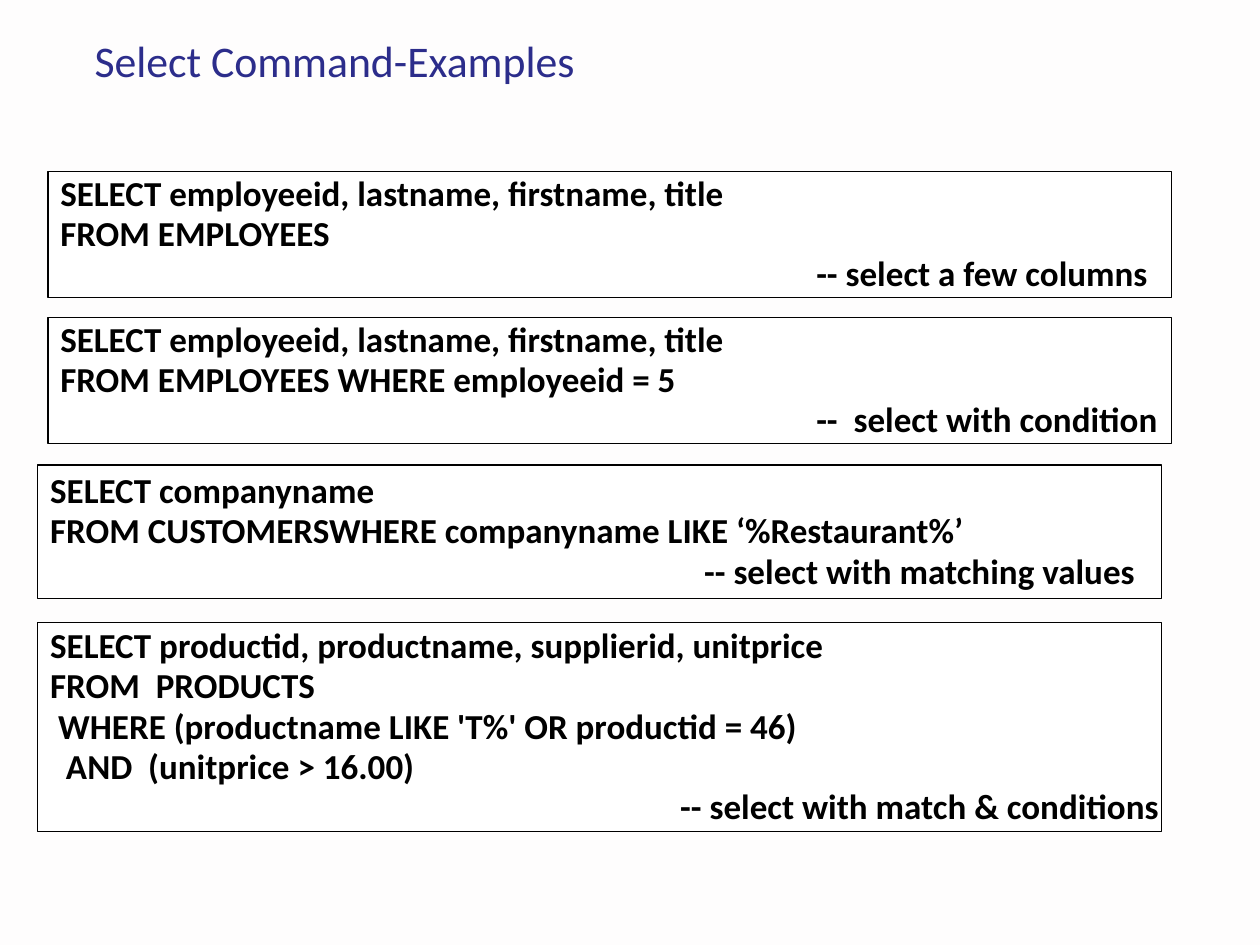
from dataclasses import dataclass

from pptx import Presentation
from pptx.dml.color import RGBColor
from pptx.enum.shapes import MSO_SHAPE
from pptx.enum.text import MSO_ANCHOR, PP_ALIGN
from pptx.util import Inches, Pt

RECTANGLE = MSO_SHAPE.RECTANGLE
MIDDLE = MSO_ANCHOR.MIDDLE
LEFT = PP_ALIGN.LEFT


@dataclass(frozen=True)
class Theme:
    font: str = "Calibri"
    title_size: int = 25
    code_size: int = 20
    background: RGBColor = RGBColor(0xFE, 0xFD, 0xFD)
    title: RGBColor = RGBColor(0x2C, 0x2D, 0x8B)
    ink: RGBColor = RGBColor(0, 0, 0)
    box: RGBColor = RGBColor(0xFF, 0xFF, 0xFF)


theme = Theme()


def style_paragraph(paragraph, size, color, bold=False):
    paragraph.alignment = LEFT
    for run in paragraph.runs:
        run.font.name = theme.font
        run.font.size = Pt(size)
        run.font.bold = bold
        run.font.color.rgb = color


presentation = Presentation()
presentation.slide_width = Inches(10)
presentation.slide_height = Inches(7.5)
slide = presentation.slides.add_slide(presentation.slide_layouts[6])
slide.background.fill.solid()
slide.background.fill.fore_color.rgb = theme.background

# Query boxes: left, top, height, query lines, comment, comment indent
BOX_WIDTH = 8.92
EXAMPLES = [
    (0.38, 1.36, 1,
     ["SELECT employeeid, lastname, firstname, title", "FROM EMPLOYEES"],
     "-- select a few columns", 6),
    (0.38, 2.52, 1,
     ["SELECT employeeid, lastname, firstname, title",
      "FROM EMPLOYEES WHERE employeeid = 5"],
     "--  select with condition", 6),
    (0.3, 3.69, 1.06,
     ["SELECT companyname",
      "FROM CUSTOMERSWHERE companyname LIKE ‘%Restaurant%’"],
     "-- select with matching values", 5.19),
    (0.3, 4.94, 1.66,
     ["SELECT productid, productname, supplierid, unitprice",
      "FROM  PRODUCTS",
      " WHERE (productname LIKE 'T%' OR productid = 46)",
      "  AND  (unitprice > 16.00)"],
     "-- select with match & conditions", 5),
]

for left, top, height, query, comment, indent in EXAMPLES:
    shape = slide.shapes.add_shape(
        RECTANGLE, Inches(left), Inches(top), Inches(BOX_WIDTH), Inches(height))
    shape.shadow.inherit = False
    shape.fill.solid()
    shape.fill.fore_color.rgb = theme.box
    shape.line.color.rgb = theme.ink
    shape.line.width = Pt(0.75)

    text_frame = shape.text_frame
    text_frame.word_wrap = False
    text_frame.vertical_anchor = MIDDLE
    text_frame.text = "\n".join(query + [comment])
    for paragraph in text_frame.paragraphs:
        paragraph.line_spacing = 0.96
        style_paragraph(paragraph, theme.code_size, theme.ink, bold=True)

    # The closing comment is indented to the right
    comment_properties = text_frame.paragraphs[-1]._p.get_or_add_pPr()
    comment_properties.set("marL", str(Inches(indent)))

# Title
title = slide.shapes.add_textbox(
    Inches(0.75), Inches(0.27), Inches(6.21), Inches(0.42))
text_frame = title.text_frame
text_frame.word_wrap = True
text_frame.margin_left = text_frame.margin_right = 0
text_frame.margin_top = text_frame.margin_bottom = 0
text_frame.text = "Select Command-Examples"
style_paragraph(text_frame.paragraphs[0], theme.title_size, theme.title)

presentation.save("out.pptx")
